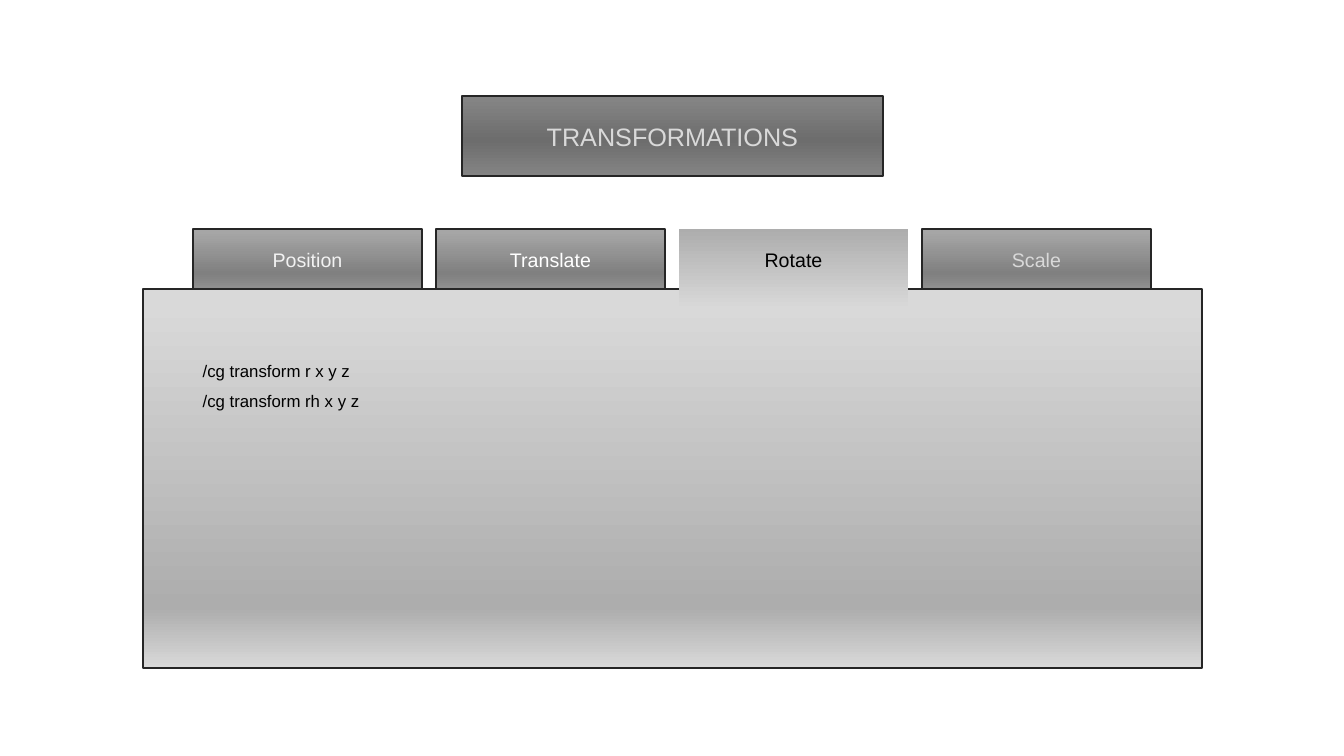
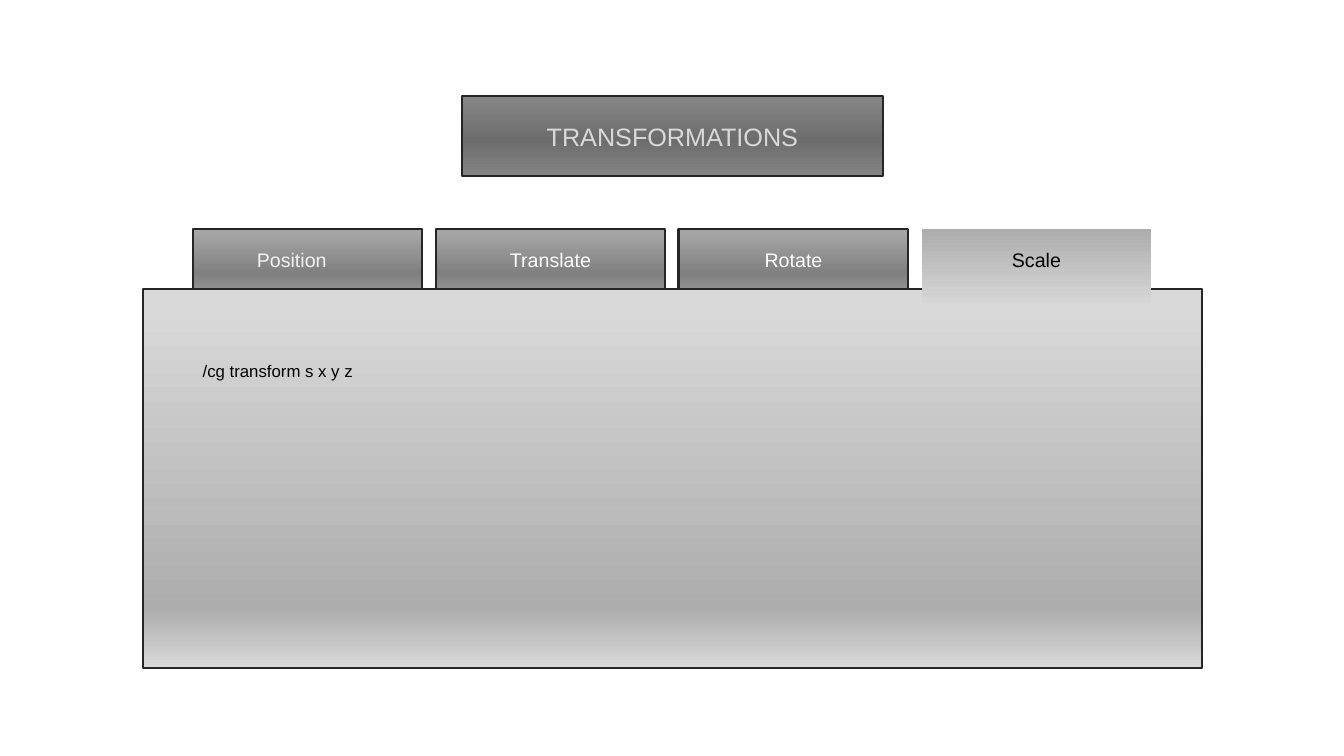
from dataclasses import dataclass

from lxml.etree import SubElement
from pptx import Presentation
from pptx.dml.color import RGBColor
from pptx.enum.shapes import MSO_SHAPE as Shape
from pptx.enum.text import MSO_ANCHOR as Anchor, MSO_AUTO_SIZE as AutoSize, PP_ALIGN as Align
from pptx.oxml.ns import qn
from pptx.util import Inches, Pt

FONT = "Arial"
BORDER, TEXT, WHITE, PALE, MUTED = "262626", "000000", "FFFFFF", "F2F2F2", "D9D9D9"

# Gradients as (percent, colour) stops, from top to bottom
TITLE_GRAD = [(4, "848484"), (55, "6D6D6D"), (100, "848484")]
TAB_GRAD = [(4, "A6A6A6"), (55, "808080"), (100, "A6A6A6")]
ACTIVE_GRAD = [(0, "ADADAD"), (100, "D9D9D9")]
PANEL_GRAD = [(4, "D9D9D9"), (84, "ADADAD"), (100, "D9D9D9")]

TAB_LEFT, TAB_TOP, TAB_W, TAB_H, TAB_STEP = 1.91, 2.27, 2.28, 0.8, 2.41


@dataclass
class Tab:
    label: str
    color: str = WHITE
    right_inset: float = 0.1


@dataclass
class Page:
    tabs: list[Tab]
    active: int
    commands: list[str]


PAGES = [
    Page([Tab("Position", PALE), Tab("Translate"), Tab("Rotate"), Tab("Scale", MUTED)],
         2, ["/cg transform r x y z", "/cg transform rh x y z"]),
    Page([Tab("Position", PALE, 0.41), Tab("Translate"), Tab("Rotate"), Tab("Scale")],
         3, ["/cg transform s x y z"]),
]


def rgb(color: str) -> RGBColor:
    return RGBColor.from_string(color)


def paint(sp, stops: list[tuple[int, str]], border: bool = True) -> None:
    """Give a shape a vertical gradient and, if wanted, the dark border."""
    sp.fill.gradient()
    sp.fill.gradient_angle = 270
    gs_list = sp._element.spPr.find(qn("a:gradFill")).find(qn("a:gsLst"))
    for gs in list(gs_list):
        gs_list.remove(gs)
    for percent, color in stops:
        gs = SubElement(gs_list, qn("a:gs"), pos=str(percent * 1000))
        SubElement(gs, qn("a:srgbClr"), val=color)
    if border:
        sp.line.color.rgb = rgb(BORDER)
        sp.line.width = Pt(1.5)
    else:
        sp.line.fill.background()


def write(sp, lines: list[str], size: int, color: str, align=Align.CENTER,
          spacing: float = 1.0, **frame) -> None:
    """Set the text of a shape; frame holds text frame attributes."""
    tf = sp.text_frame
    frame = {"word_wrap": True, "auto_size": AutoSize.NONE,
             "vertical_anchor": Anchor.TOP} | frame
    for name, value in frame.items():
        setattr(tf, name, value)
    for i, line in enumerate(lines):
        p = tf.paragraphs[0] if i == 0 else tf.add_paragraph()
        p.alignment, p.line_spacing = align, spacing
        r = p.add_run()
        r.text = line
        for name, value in {"name": FONT, "size": Pt(size), "bold": False}.items():
            setattr(r.font, name, value)
        r.font.color.rgb = rgb(color)


def add_box(s, left: float, top: float, width: float, height: float):
    sp = s.shapes.add_shape(Shape.RECTANGLE, Inches(left), Inches(top),
                            Inches(width), Inches(height))
    sp.shadow.inherit = False
    return sp


def add_title(s) -> None:
    sp = s.shapes.title
    place = {"left": 4.58, "top": 0.95, "width": 4.18, "height": 0.8}
    for name, value in place.items():
        setattr(sp, name, Inches(value))
    paint(sp, TITLE_GRAD)
    write(sp, ["TRANSFORMATIONS"], 18, MUTED, vertical_anchor=Anchor.MIDDLE)


def add_tab(s, index: int, tab: Tab, active: bool) -> None:
    sp = add_box(s, TAB_LEFT + index * TAB_STEP, TAB_TOP, TAB_W, TAB_H)
    paint(sp, ACTIVE_GRAD if active else TAB_GRAD, border=not active)
    write(sp, [tab.label], 14, TEXT if active else tab.color,
          margin_top=Inches(0.19), margin_right=Inches(tab.right_inset))


def add_panel(s, commands: list[str]) -> None:
    sp = add_box(s, 1.42, 2.87, 10.5, 3.76)
    paint(sp, PANEL_GRAD)
    write(sp, commands, 12, TEXT, Align.LEFT, 1.5,
          margin_left=Inches(0.59), margin_top=Inches(0.61))


def add_page(prs, page: Page) -> None:
    s = prs.slides.add_slide(prs.slide_layouts[5])
    add_title(s)
    # The panel covers the feet of the resting tabs; the active tab lies on top
    for i, tab in enumerate(page.tabs):
        if i != page.active:
            add_tab(s, i, tab, active=False)
    add_panel(s, page.commands)
    add_tab(s, page.active, page.tabs[page.active], active=True)


def main() -> None:
    prs = Presentation()
    prs.slide_width, prs.slide_height = Inches(13.33), Inches(7.5)
    for page in PAGES:
        add_page(prs, page)
    prs.save("out.pptx")


if __name__ == "__main__":
    main()
